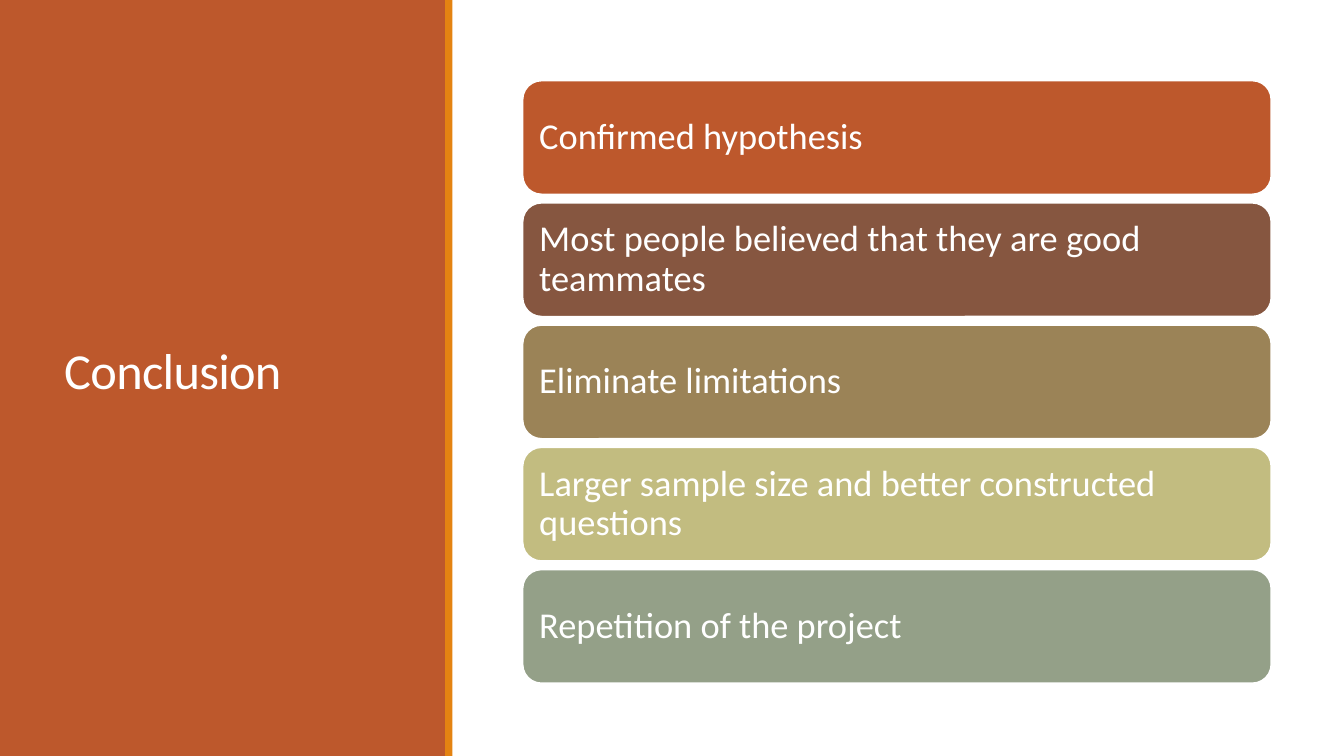
"""Build the Conclusion slide: a coloured title panel and five stacked cards."""
import pptx
import pptx.dml.color
import pptx.enum.shapes
import pptx.enum.text
import pptx.util
from pptx.util import Cm

WHITE, RUST, ORANGE = "FFFFFF", "BD582C", "E48312"
SLIDE_WIDTH, SLIDE_HEIGHT = 33.87, 19.05
CARD_LEFT, CARD_TOP, CARD_WIDTH, CARD_HEIGHT = 13.17, 2.03, 18.87, 2.87
CARD_STEP = 3.08
CARDS = [
    ("Confirmed hypothesis", RUST),
    ("Most people believed that they are good teammates", "865640"),
    ("Eliminate limitations", "9B8357"),
    ("Larger sample size and better constructed questions", "C2BC80"),
    ("Repetition of the project", "94A088"),
]


def color(hex_value):
    """Return the colour for a hex string."""
    return pptx.dml.color.RGBColor.from_string(hex_value)


def apply_format(target, values):
    """Set each attribute named in values on the target."""
    for name, value in values.items():
        setattr(target, name, value)


def add_block(slide, kind, box, fill):
    """Add a filled preset shape without shadow or outline."""
    shape = slide.shapes.add_shape(kind, *map(Cm, box))
    shape.shadow.inherit = False
    shape.fill.solid()
    shape.fill.fore_color.rgb = color(fill)
    shape.line.fill.background()
    return shape


def write_text(shape, text, size, line_spacing, inset):
    """Write white, left-aligned, vertically centred text and return its run."""
    frame = shape.text_frame
    apply_format(frame, {
        "word_wrap": True,
        "vertical_anchor": pptx.enum.text.MSO_ANCHOR.MIDDLE,
        "margin_left": Cm(inset),
        "margin_right": Cm(inset),
        "margin_top": Cm(inset),
        "margin_bottom": Cm(inset),
    })
    paragraph = frame.paragraphs[0]
    apply_format(paragraph, {
        "alignment": pptx.enum.text.PP_ALIGN.LEFT,
        "line_spacing": line_spacing,
    })
    run = paragraph.add_run()
    run.text = text
    apply_format(run.font, {"name": "Calibri", "size": pptx.util.Pt(size)})
    run.font.color.rgb = color(WHITE)
    return run


def add_title(slide, text, box):
    """Add the slide title with slightly tightened letters."""
    title = slide.shapes.add_textbox(*map(Cm, box))
    run = write_text(title, text, 36, 0.85, 0.25)
    run._r.get_or_add_rPr().set("spc", "-50")


def add_card(slide, index, text, fill):
    """Add one rounded card at its place in the stack."""
    box = (CARD_LEFT, CARD_TOP + index * CARD_STEP, CARD_WIDTH, CARD_HEIGHT)
    card = add_block(slide, pptx.enum.shapes.MSO_SHAPE.ROUNDED_RECTANGLE, box, fill)
    card.line.color.rgb = color(WHITE)
    card.line.width = pptx.util.Pt(1.25)
    write_text(card, text, 26, 0.9, 0.28)


def main():
    """Build and save the presentation."""
    presentation = pptx.Presentation()
    apply_format(presentation, {
        "slide_width": Cm(SLIDE_WIDTH),
        "slide_height": Cm(SLIDE_HEIGHT),
    })
    slide = presentation.slides.add_slide(presentation.slide_layouts[6])
    rectangle = pptx.enum.shapes.MSO_SHAPE.RECTANGLE
    add_block(slide, rectangle, (0, 0, 11.25, SLIDE_HEIGHT), RUST)
    add_title(slide, "Conclusion", (1.37, 1.41, 8.56, 16.03))
    add_block(slide, rectangle, (11.22, 0, 0.18, SLIDE_HEIGHT), ORANGE)
    for index, (text, fill) in enumerate(CARDS):
        add_card(slide, index, text, fill)
    presentation.save("out.pptx")


if __name__ == "__main__":
    main()
